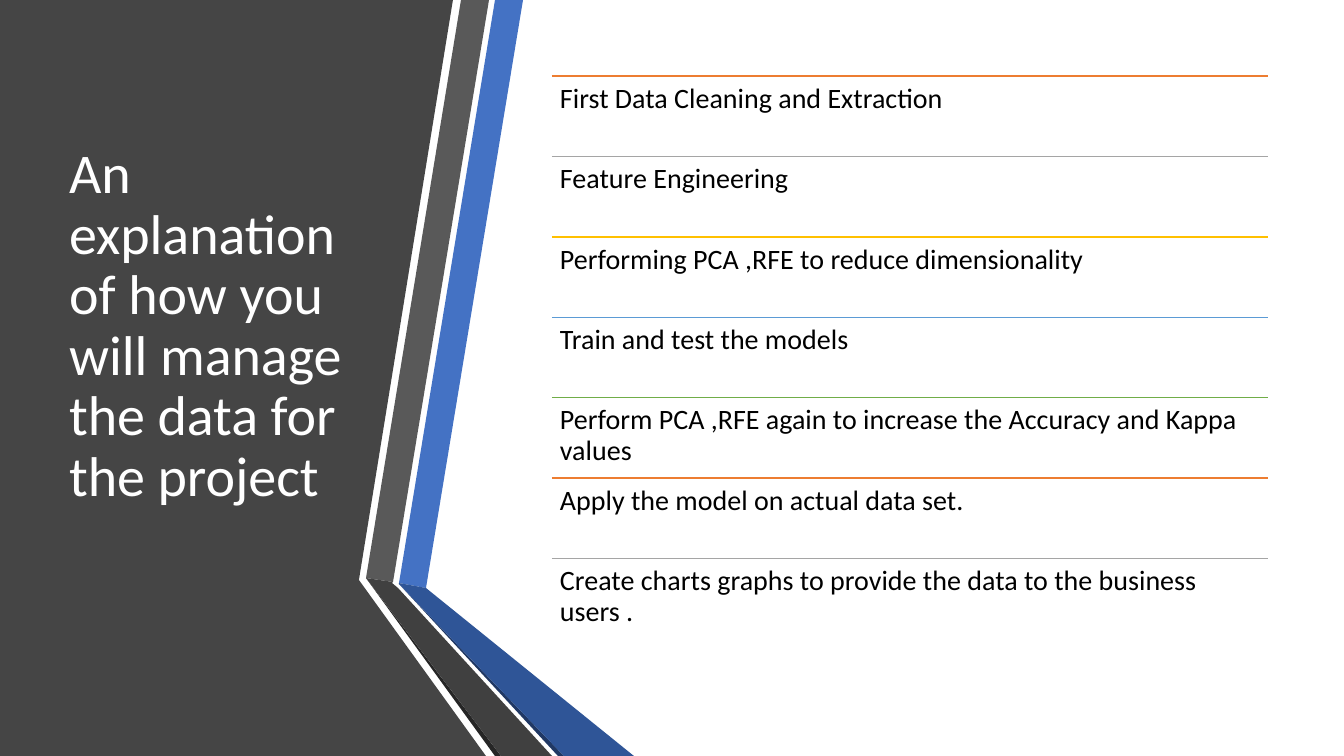
"""Build the project data plan slide: title on a dark folded panel, seven ruled steps."""
from lxml import etree
from pptx import Presentation
from pptx.dml.color import RGBColor
from pptx.enum.shapes import MSO_CONNECTOR
from pptx.enum.text import MSO_ANCHOR, MSO_AUTO_SIZE, PP_ALIGN
from pptx.oxml.ns import qn
from pptx.util import Pt

STRAIGHT = MSO_CONNECTOR.STRAIGHT
TOP, MIDDLE = MSO_ANCHOR.TOP, MSO_ANCHOR.MIDDLE
LEFT = PP_ALIGN.LEFT
NO_FIT = MSO_AUTO_SIZE.NONE

TITLE = "An explanation of how\u00a0you will manage the data for the project"
STEPS = [
    "First Data Cleaning and Extraction",
    "Feature Engineering",
    "Performing PCA ,RFE to reduce dimensionality",
    "Train and test the models",
    "Perform PCA ,RFE again to increase the Accuracy and Kappa values",
    "Apply the model on actual data set.",
    "Create charts graphs to provide the data to the business users .",
]
RULE_COLORS = ["ED7D31", "A5A5A5", "FFC000", "5B9BD5", "70AD47"]
PANEL = ("454545", [(0, 0), (453, 0), (359, 580), (486, 756), (0, 756)])
RIBBONS = [
    ("4472C4", [(399, 583), (426, 588), (523, 0), (495, 0)]),
    ("595959", [(489, 0), (461, 0), (366, 578), (393, 582)]),
    ("262626", [(366, 578), (495, 756), (501, 756)]),
    ("203864", [(399, 584), (558, 756), (564, 756)]),
    ("2F5597", [(399, 584), (564, 756), (634, 756), (426, 588), (399, 583)]),
    ("404040", [(552, 756), (398, 588), (392, 583), (393, 582), (366, 578), (501, 756)]),
]

SCALE = 914400 / 100.8
SLIDE_W, SLIDE_H = 1344, 756
TITLE_BOX = (59, 76, 306, 562)
LIST_X, LIST_Y, LIST_W, LIST_H = 552, 76, 716, 563


def px(n):
    return round(n * SCALE)


def rgb(color):
    return RGBColor.from_string(color)


def assign(obj, values):
    for name, value in values.items():
        setattr(obj, name, value)


def add_outline(shapes, color, points):
    builder = shapes.build_freeform(*points[0], scale=SCALE)
    builder.add_line_segments(points[1:], close=True)
    sp = builder.convert_to_shape()
    sp.shadow.inherit = False
    sp.fill.solid()
    sp.fill.fore_color.rgb = rgb(color)
    sp.line.fill.background()


def add_rule(shapes, y, color):
    line = shapes.add_connector(STRAIGHT, px(LIST_X), px(y), px(LIST_X + LIST_W), px(y))
    line.line.color.rgb = rgb(color)
    line.line.width = Pt(1)
    etree.SubElement(line.element.spPr, qn("a:effectLst"))


def write(sp, text, size, color, frame):
    tf = sp.text_frame
    assign(tf, {"word_wrap": True, "auto_size": NO_FIT, **frame})
    p = tf.paragraphs[0]
    assign(p, {"alignment": LEFT, "line_spacing": 0.9})
    r = p.add_run()
    r.text = text
    assign(r.font, {"name": "Calibri", "size": Pt(size)})
    r.font.color.rgb = rgb(color)


prs = Presentation()
assign(prs, {"slide_width": px(SLIDE_W), "slide_height": px(SLIDE_H)})
s = prs.slides.add_slide(prs.slide_layouts[5])

add_outline(s.shapes, *PANEL)
ribbons = s.shapes.add_group_shape()
for color, points in RIBBONS:
    add_outline(ribbons.shapes, color, points)

title = s.shapes.title
title.element.getparent().append(title.element)
assign(title, dict(zip(("left", "top", "width", "height"), map(px, TITLE_BOX))))
write(title, TITLE, 40, "FFFFFF", {"vertical_anchor": MIDDLE, "margin_bottom": px(65)})

steps = s.shapes.add_group_shape()
row_h = LIST_H / len(STEPS)
margins = dict.fromkeys(("margin_left", "margin_top", "margin_right", "margin_bottom"), px(8))
for i, step in enumerate(STEPS):
    y = LIST_Y + i * row_h
    add_rule(steps.shapes, y, RULE_COLORS[i % len(RULE_COLORS)])
    box = steps.shapes.add_textbox(px(LIST_X), px(y), px(LIST_W), px(row_h))
    write(box, step, 20, "000000", {"vertical_anchor": TOP, **margins})

prs.save("out.pptx")
